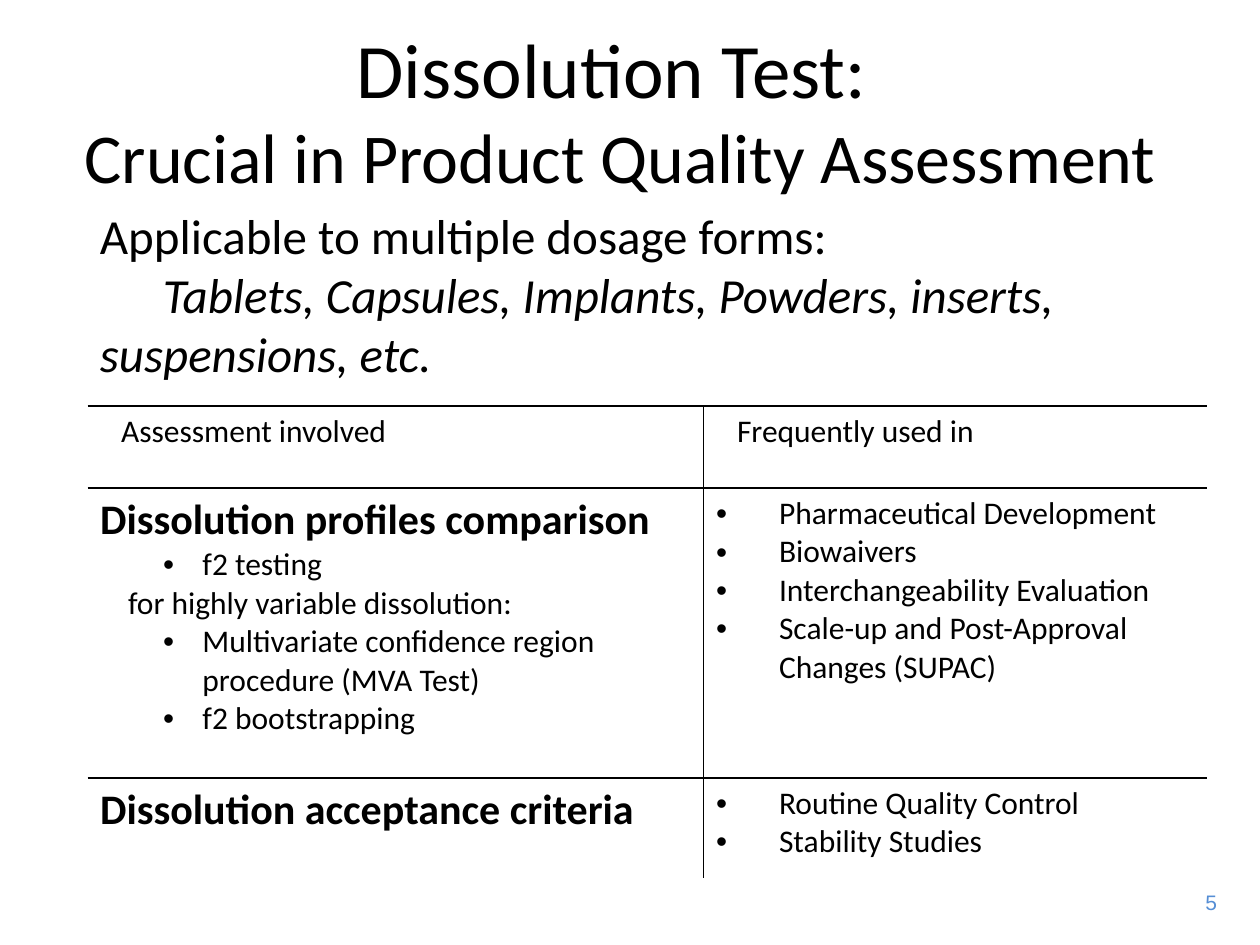
from lxml import etree
from pptx import Presentation
from pptx.dml.color import RGBColor
from pptx.enum.text import MSO_ANCHOR, PP_ALIGN
from pptx.oxml.ns import qn
from pptx.util import Pt

LEFT, CENTER, RIGHT = PP_ALIGN.LEFT, PP_ALIGN.CENTER, PP_ALIGN.RIGHT
TOP, MIDDLE = MSO_ANCHOR.TOP, MSO_ANCHOR.MIDDLE
COLORS = {"text": "000000", "number": "558ED5"}
PLAIN_TABLE_STYLE = "{2D5ABB26-0587-4C30-8999-92F81FD0307C}"


class SlideBuilder:
    def __init__(self, slide):
        self.slide = slide
        self.font = "Calibri"
        self.border_width = Pt(1)

    def run(self, paragraph, text, size, bold=False, italic=False, font=None, color="text"):
        run = paragraph.add_run()
        run.text = text
        run.font.name = font or self.font
        run.font.size = Pt(size)
        run.font.bold = bold
        run.font.italic = italic
        run.font.color.rgb = RGBColor.from_string(COLORS[color])

    def indent(self, paragraph, margin, first_line, bullet=False):
        properties = paragraph._p.get_or_add_pPr()
        properties.set("marL", str(Pt(margin)))
        properties.set("indent", str(Pt(first_line)))
        if bullet:
            etree.SubElement(properties, qn("a:buFont")).set("typeface", "Arial")
            etree.SubElement(properties, qn("a:buChar")).set("char", "•")

    def text_box(self, left, top, width, height, anchor=TOP, align=LEFT, wrap=True):
        shape = self.slide.shapes.add_textbox(Pt(left), Pt(top), Pt(width), Pt(height))
        frame = shape.text_frame
        frame.word_wrap = wrap
        frame.vertical_anchor = anchor
        frame.paragraphs[0].alignment = align
        return frame

    def border(self, cell, side):
        line = etree.SubElement(cell._tc.get_or_add_tcPr(), qn(f"a:ln{side}"))
        line.set("w", str(self.border_width))
        fill = etree.SubElement(line, qn("a:solidFill"))
        etree.SubElement(fill, qn("a:srgbClr")).set("val", COLORS["text"])

    def cell(self, cell, items, sides):
        for index, (text, style) in enumerate(items):
            frame = cell.text_frame
            paragraph = frame.add_paragraph() if index else frame.paragraphs[0]
            size, bold, margin, first_line, bullet = CELL_STYLES[style]
            self.indent(paragraph, margin, first_line, bullet)
            self.run(paragraph, text, size, bold)
        for side in sides:
            self.border(cell, side)
        cell.fill.background()

    def table(self, left, top, widths, heights, rows):
        shape = self.slide.shapes.add_table(
            len(rows), len(widths), Pt(left), Pt(top), Pt(sum(widths)), Pt(sum(heights)))
        table = shape.table
        table.first_row = False
        table.horz_banding = False
        table._tbl.tblPr.find(qn("a:tableStyleId")).text = PLAIN_TABLE_STYLE
        for column, width in zip(table.columns, widths):
            column.width = Pt(width)
        for row_index, (row, height) in enumerate(zip(rows, heights)):
            table.rows[row_index].height = Pt(height)
            for column_index, items in enumerate(row):
                sides = ["L" if column_index else "R", "T"]
                if row_index < len(rows) - 1:
                    sides.append("B")
                sides.sort(key="LRTB".index)
                self.cell(table.cell(row_index, column_index), items, sides)


CELL_STYLES = {
    "header": (18, False, 12, 0, False),
    "heading": (24, True, 0, 0, False),
    "note": (18, False, 16, 0, False),
    "method": (18, False, 58.5, -22.5, True),
    "use": (18, False, 36, -36, True),
}

ASSESSMENT_ROWS = [
    [[("Assessment involved", "header")], [("Frequently used in", "header")]],
    [
        [
            ("Dissolution profiles comparison", "heading"),
            ("f2 testing", "method"),
            ("for highly variable dissolution:", "note"),
            ("Multivariate confidence region procedure (MVA Test)", "method"),
            ("f2 bootstrapping", "method"),
        ],
        [
            ("Pharmaceutical Development", "use"),
            ("Biowaivers", "use"),
            ("Interchangeability Evaluation", "use"),
            ("Scale-up and Post-Approval Changes (SUPAC)", "use"),
        ],
    ],
    [
        [("Dissolution acceptance criteria", "heading")],
        [("Routine Quality Control", "use"), ("Stability Studies", "use")],
    ],
]


def main():
    presentation = Presentation()
    presentation.slide_width = Pt(720)
    presentation.slide_height = Pt(540)
    builder = SlideBuilder(presentation.slides.add_slide(presentation.slide_layouts[6]))

    number = builder.text_box(673, 504.5, 29.5, 21.5, align=RIGHT, wrap=False)
    builder.run(number.paragraphs[0], "5", 12, font="Arial", color="number")

    title = builder.text_box(19.5, 26, 670, 73, anchor=MIDDLE, align=CENTER).paragraphs[0]
    builder.run(title, "Dissolution Test: ", 44)
    title.add_line_break()
    builder.run(title, "Crucial in Product Quality Assessment", 40)

    forms = builder.text_box(50, 114, 639, 131)
    builder.run(forms.paragraphs[0], "Applicable to multiple dosage forms:", 28)
    examples = forms.add_paragraph()
    builder.indent(examples, 0, 36)
    builder.run(examples, "Tablets, Capsules, Implants, Powders, inserts, suspensions, etc.", 28,
                italic=True)

    builder.table(50, 232, [352, 288], [47, 165.5, 57], ASSESSMENT_ROWS)
    presentation.save("out.pptx")


if __name__ == "__main__":
    main()
